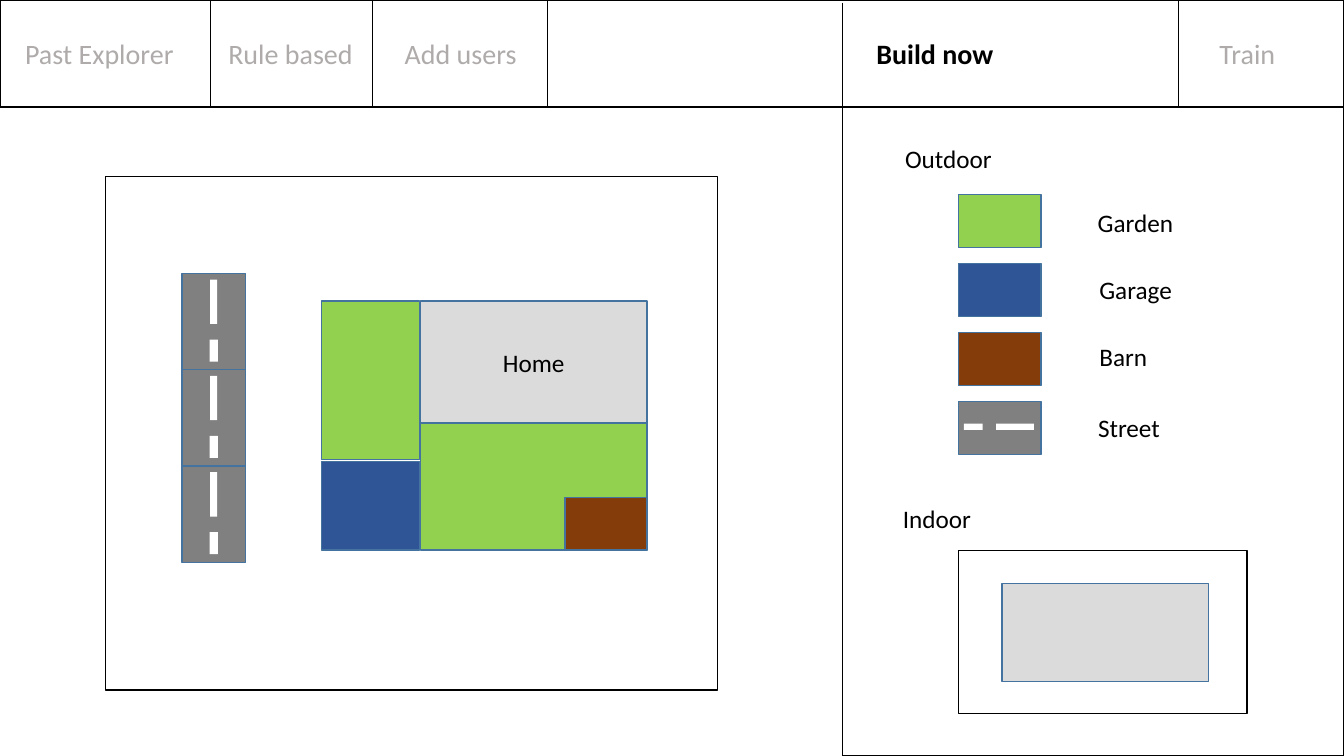
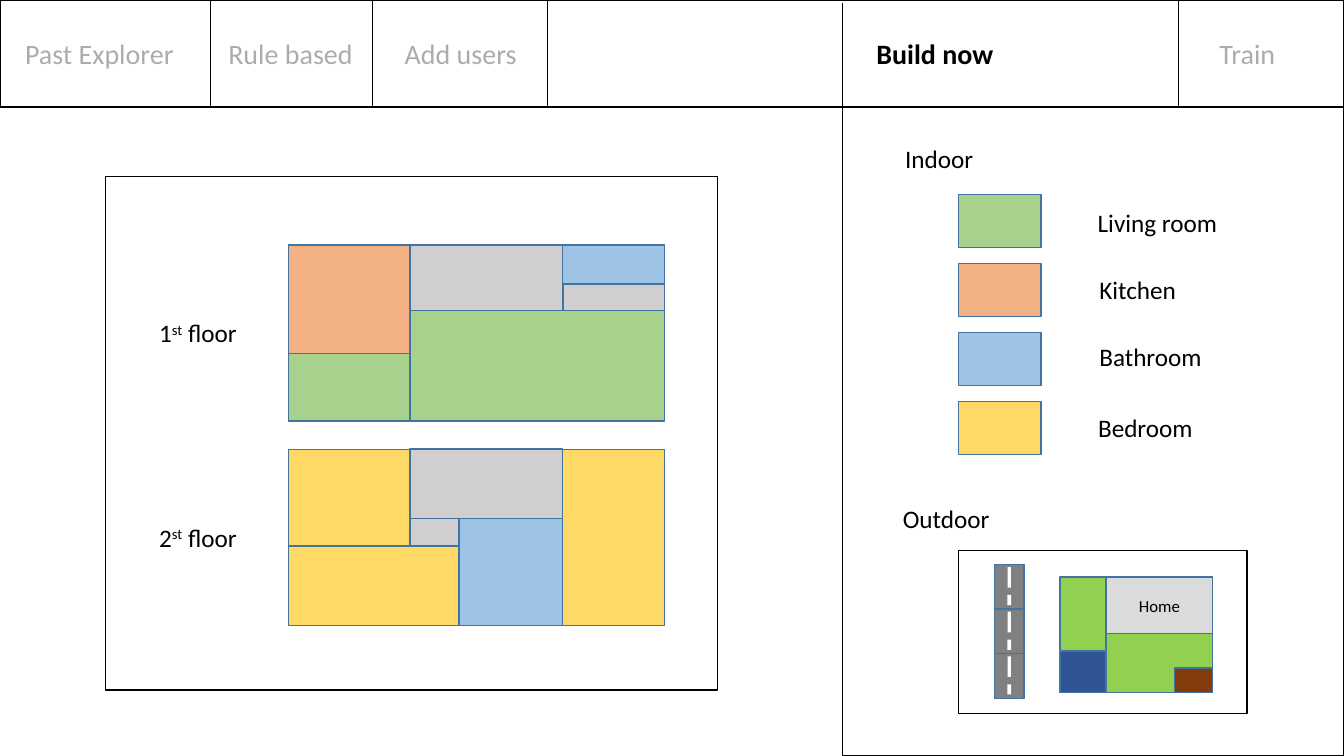
import pptx
import pptx.dml.color
import pptx.enum.shapes
import pptx.enum.text
import pptx.oxml.ns
import pptx.util
from lxml import etree

Pt = pptx.util.Pt

FONT = "Calibri"
BLACK, WHITE, MUTED, EDGE = "000000", "FFFFFF", "AFABAB", "43739E"
LAWN, GARAGE, BARN, ASPHALT, HOME = "92D050", "2F5597", "843C0B", "808080", "DBDBDB"
LIVING, KITCHEN, BATH, BEDROOM, HALL = "A9D18E", "F4B183", "9DC3E6", "FFD966", "D0CECE"

WIDTH, HEIGHT, BAR_HEIGHT, PANEL_LEFT = 960, 540, 76.5, 602
CANVAS = (75.6, 126, 437, 367)
PREVIEW = (684.7, 393.1, 206, 116.6)
TABS = [("Past Explorer", 10.8), ("Rule based", 156), ("Add users", 282),
        ("Build now", 619), ("Train", 864)]
ACTIVE_TAB = "Build now"
DIVIDERS = (150, 265.7, 391, 842)

SWATCH_LEFT, SWATCH_TOP, SWATCH_PITCH = 684.7, 139, 49.2
SWATCH_WIDTH, SWATCH_HEIGHT = 59, 38
LEGEND_LABELS = [(777, 144.7), (778.2, 192.4), (778.2, 240.5), (777.3, 291)]
OUTDOOR = [("Garden", LAWN), ("Garage", GARAGE), ("Barn", BARN), ("Street", ASPHALT)]
INDOOR = [("Living room", LIVING), ("Kitchen", KITCHEN), ("Bathroom", BATH),
          ("Bedroom", BEDROOM)]

# Site plan, measured from the top left corner of the street.
STREET_WIDTH, TILE_PITCH, TILE_HEIGHT = 45.4, 68.8, 69.1
DASHES = [(4.4, 5, 31.7), (47.2, 5.8, 15.8)]
PLOTS = [
    (170.2, 19.8, 162, 87.1, HOME, "Home"),
    (170.2, 106.9, 162, 90.7, LAWN, ""),
    (273.5, 160, 58.7, 37.6, BARN, ""),
    (99.7, 134.2, 70, 63.4, GARAGE, ""),
    (99.7, 19.8, 70, 113, LAWN, ""),
]

# Rooms as left, top, right, bottom and colour.
FIRST_FLOOR = [
    (206.2, 175.1, 293, 252.4, KITCHEN),
    (206.2, 252.4, 293, 300.7, LIVING),
    (293, 221.8, 474.6, 300.7, LIVING),
    (401.9, 175.1, 474.6, 203, BATH),
    (293, 175.1, 401.9, 221.8, HALL),
    (402.3, 203, 474.6, 221.8, HALL),
]
SECOND_FLOOR = [
    (293, 320.7, 401.9, 370.2, HALL),
    (293, 370.2, 328, 390, HALL),
    (328, 370.2, 401.9, 446.8, BATH),
    (206.2, 321, 293, 390, BEDROOM),
    (401.9, 321, 474.6, 446.8, BEDROOM),
    (206.2, 390, 328, 446.8, BEDROOM),
]


def color(value):
    return pptx.dml.color.RGBColor.from_string(value)


def format_span(span, size, text_color, bold=False):
    span.font.name = FONT
    span.font.size = Pt(size)
    span.font.bold = bold
    span.font.color.rgb = color(text_color)


def add_box(shapes, left, top, width, height, fill=None, line=None):
    box = shapes.add_shape(pptx.enum.shapes.MSO_SHAPE.RECTANGLE,
                           Pt(left), Pt(top), Pt(width), Pt(height))
    box.shadow.inherit = False
    if fill:
        box.fill.solid()
        box.fill.fore_color.rgb = color(fill)
    else:
        box.fill.background()
    if line:
        box.line.color.rgb = color(line)
        box.line.width = Pt(1)
    else:
        box.line.fill.background()
    return box


def add_label(page, text, left, top, size=18, text_color=BLACK, bold=False):
    box = page.shapes.add_textbox(Pt(left), Pt(top), Pt(144), Pt(size * 1.2 + 7.2))
    box.text_frame.word_wrap = True
    box.text_frame.text = text
    format_span(box.text_frame.paragraphs[0].runs[0], size, text_color, bold)
    return box


def add_floor_label(page, number, top):
    box = add_label(page, number, 106.6, top)
    para = box.text_frame.paragraphs[0]
    for text in ("st", " floor"):
        span = para.add_run()
        span.text = text
        format_span(span, 18, BLACK)
    para.runs[1].font._element.set("baseline", "30000")


def add_divider(page, left, top=0):
    line = page.shapes.add_connector(pptx.enum.shapes.MSO_CONNECTOR.STRAIGHT,
                                     Pt(left), Pt(top), Pt(left), Pt(top + BAR_HEIGHT))
    line.line.color.rgb = color(BLACK)
    line.line.width = Pt(0.5)
    etree.SubElement(line._element.spPr, pptx.oxml.ns.qn("a:effectLst"))


def add_frame(page):
    """Draw the tab bar, side panel, canvas and preview box."""
    add_box(page.shapes, *CANVAS, line=BLACK)
    add_box(page.shapes, PANEL_LEFT, BAR_HEIGHT, WIDTH - PANEL_LEFT,
            HEIGHT - BAR_HEIGHT, line=BLACK)
    add_box(page.shapes, *PREVIEW, line=BLACK)
    add_box(page.shapes, 0, 0, WIDTH, BAR_HEIGHT, line=BLACK)
    for left in DIVIDERS:
        add_divider(page, left)
    add_divider(page, PANEL_LEFT, 2)
    for name, left in TABS:
        active = name == ACTIVE_TAB
        add_label(page, name, left, 22.5, 20, BLACK if active else MUTED, active)


def add_legend(page, title, entries, preview_title):
    add_label(page, title, 639.4, 98.8)
    add_label(page, preview_title, 637.8, 356.2)
    for index, (name, fill) in enumerate(entries):
        top = SWATCH_TOP + index * SWATCH_PITCH
        add_box(page.shapes, SWATCH_LEFT, top, SWATCH_WIDTH, SWATCH_HEIGHT, fill, EDGE)
        if fill == ASPHALT:
            for offset, width in ((3.8, 13.5), (26.8, 27)):
                add_box(page.shapes, SWATCH_LEFT + offset, top + 16, width, 4.6, WHITE)
        add_label(page, name, *LEGEND_LABELS[index])


def add_site_plan(page, left, top, scale_x, scale_y, text_size):
    shapes = page.shapes.add_group_shape().shapes

    def add_part(x, y, width, height, fill, line=None):
        return add_box(shapes, left + x * scale_x, top + y * scale_y,
                       width * scale_x, height * scale_y, fill, line)

    for index in range(3):
        tile_top = index * TILE_PITCH
        add_part(0, tile_top, STREET_WIDTH, TILE_HEIGHT, ASPHALT, EDGE)
        for offset, width, height in DASHES:
            add_part((STREET_WIDTH - width) / 2, tile_top + offset, width, height, WHITE)
    for *place, fill, text in PLOTS:
        box = add_part(*place, fill, EDGE)
        if text:
            frame = box.text_frame
            frame.text = text
            frame.vertical_anchor = pptx.enum.text.MSO_ANCHOR.MIDDLE
            frame.paragraphs[0].alignment = pptx.enum.text.PP_ALIGN.CENTER
            format_span(frame.paragraphs[0].runs[0], text_size, BLACK)


def add_rooms(page, rooms):
    for left, top, right, bottom, fill in rooms:
        add_box(page.shapes, left, top, right - left, bottom - top, fill, EDGE)


def build_outdoor(page):
    add_frame(page)
    add_legend(page, "Outdoor", OUTDOOR, "Indoor")
    add_site_plan(page, 130, 195.3, 1, 1, 18)
    add_box(page.shapes, 715.7, 416.9, 147.6, 69.8, HOME, EDGE)


def build_indoor(page):
    add_frame(page)
    add_legend(page, "Indoor", INDOOR, "Outdoor")
    add_site_plan(page, 710.2, 403, 0.47, 0.464, 12)
    add_floor_label(page, "1", 223.2)
    add_rooms(page, FIRST_FLOOR)
    add_floor_label(page, "2", 369.4)
    add_rooms(page, SECOND_FLOOR)


def main():
    deck = pptx.Presentation()
    deck.slide_width, deck.slide_height = Pt(WIDTH), Pt(HEIGHT)
    for build in (build_outdoor, build_indoor):
        build(deck.slides.add_slide(deck.slide_layouts[6]))
    deck.save("out.pptx")


if __name__ == "__main__":
    main()
